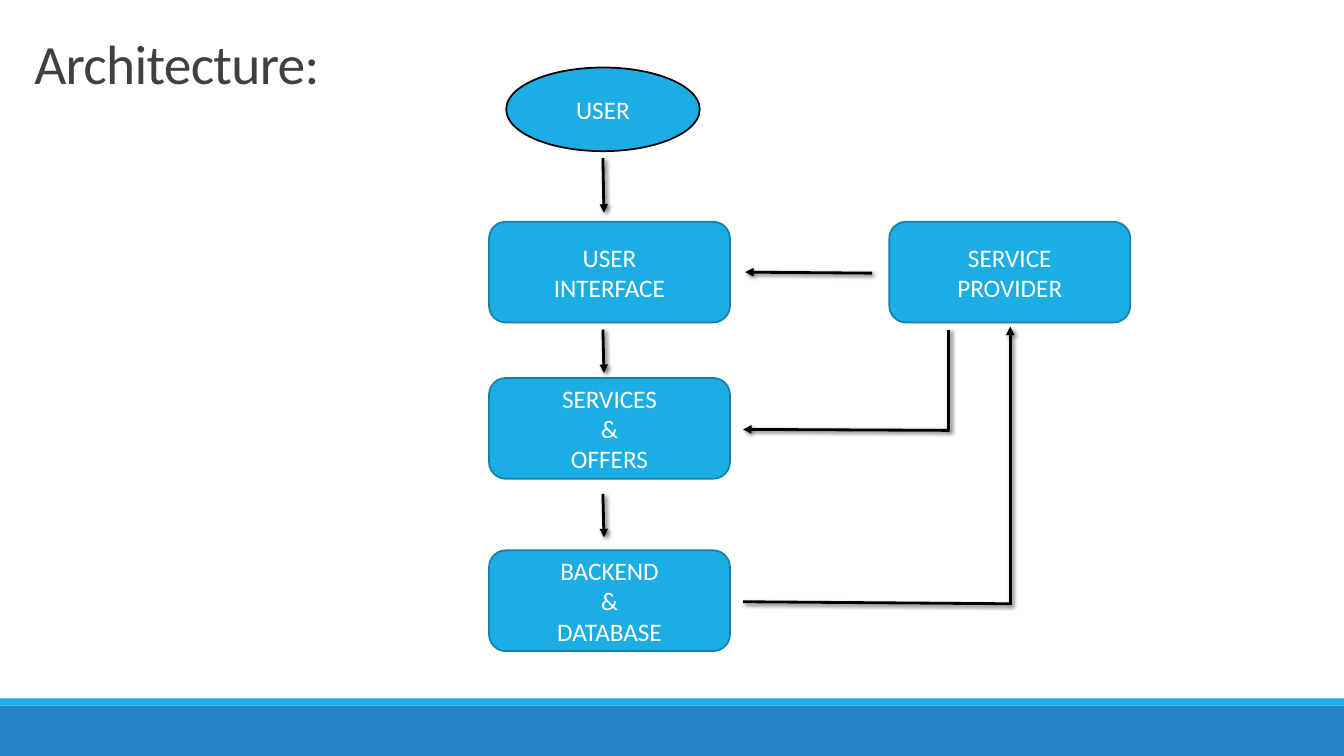
from pptx import Presentation
from pptx.dml.color import RGBColor
from pptx.enum.shapes import MSO_CONNECTOR as Link, MSO_SHAPE as Kind
from pptx.enum.text import MSO_ANCHOR as Anchor, MSO_AUTO_SIZE as Fit, PP_ALIGN as Align
from pptx.oxml import parse_xml
from pptx.oxml.ns import nsdecls
from pptx.util import Inches, Pt

BLUE = RGBColor(0x1C, 0xAD, 0xE4)
NAVY = RGBColor(0x26, 0x83, 0xC6)
EDGE = RGBColor(0x15, 0x80, 0xA9)
BLACK = RGBColor(0, 0, 0)
WHITE = RGBColor(0xFF, 0xFF, 0xFF)
GRAY = RGBColor(0x40, 0x40, 0x40)
FONT = "Calibri"
SHADOW = (
    f'<a:effectLst {nsdecls("a")}><a:outerShdw blurRad="{Pt(3)}" dist="{Pt(2)}" '
    'dir="2700000" algn="tl" rotWithShape="0"><a:srgbClr val="000000">'
    '<a:alpha val="60000"/></a:srgbClr></a:outerShdw></a:effectLst>'
)


def style(par, size, color):
    """Set the font of every run in a paragraph."""
    for run in par.runs:
        run.font.name = FONT
        run.font.size = Pt(size)
        run.font.color.rgb = color


def add_shape(slide, kind, box, fill, edge=None):
    """Add a filled shape, outlined if an edge colour is given."""
    shape = slide.shapes.add_shape(kind, *map(Inches, box))
    shape.shadow.inherit = False
    shape.fill.solid()
    shape.fill.fore_color.rgb = fill
    if edge is None:
        shape.line.fill.background()
    else:
        shape.line.color.rgb = edge
        shape.line.width = Pt(1.25)
    return shape


def add_node(slide, text, box, kind=Kind.ROUNDED_RECTANGLE, edge=EDGE):
    """Add a diagram node with centred white text."""
    frame = add_shape(slide, kind, box, BLUE, edge).text_frame
    frame.word_wrap = True
    frame.vertical_anchor = Anchor.MIDDLE
    frame.text = text
    for par in frame.paragraphs:
        par.alignment = Align.CENTER
        style(par, 18, WHITE)


def add_line(slide, start, end, head=True):
    """Add a shadowed black line, with an arrowhead at its end if asked."""
    line = slide.shapes.add_connector(Link.STRAIGHT, *map(Inches, start + end))
    line.line.color.rgb = BLACK
    line.line.width = Pt(2)
    if head:
        stroke = line.line._get_or_add_ln()
        stroke.append(parse_xml(f'<a:tailEnd {nsdecls("a")} type="triangle"/>'))
    line._element.spPr.append(parse_xml(SHADOW))


def add_footer(slide, left, top, width, height):
    """Add the two-tone band at the foot of the slide."""
    strip = 0.07
    add_shape(slide, Kind.RECTANGLE, (left, top + strip, width, height - strip), NAVY)
    add_shape(slide, Kind.RECTANGLE, (left, top, width, strip), BLUE)


def add_title(slide, box):
    """Place and format the title."""
    title = slide.shapes.title
    title.left, title.top, title.width, title.height = map(Inches, box)
    frame = title.text_frame
    frame.text = "Architecture:"
    frame.auto_size = Fit.NONE
    frame.word_wrap = True
    frame.vertical_anchor = Anchor.TOP
    par = frame.paragraphs[0]
    par.alignment = Align.LEFT
    par.line_spacing = 0.75
    style(par, 39.6, GRAY)
    par.runs[0].font._element.set("spc", "-50")


def add_diagram(slide, left, top):
    """Draw the nodes and arrows from the given top left corner."""
    wide, high = 2.39, 1
    add_node(slide, "USER", (left + 0.17, top, 1.92, 0.83), Kind.OVAL, BLACK)
    nodes = [
        ("USER\nINTERFACE", 0, 1.53),
        ("SERVICES\n&\nOFFERS", 0, 3.08),
        ("BACKEND\n&\nDATABASE", 0, 4.79),
        ("SERVICE\nPROVIDER", 3.97, 1.53),
    ]
    for text, x, y in nodes:
        add_node(slide, text, (left + x, top + y, wide, high))
    for y, drop in ((0.9, 0.54), (2.6, 0.43), (4.23, 0.43)):
        add_line(slide, (left + 1.13, top + y), (left + 1.14, top + y + drop))
    lines = [
        (3.8, 2.04, 2.54, 2.03, True),
        (2.52, 5.3, 5.16, 5.32, False),
        (5.17, 5.33, 5.17, 2.57, True),
        (4.56, 2.6, 4.56, 3.59, False),
        (4.57, 3.6, 2.52, 3.59, True),
    ]
    for x1, y1, x2, y2, head in lines:
        add_line(slide, (left + x1, top + y1), (left + x2, top + y2), head)


def main():
    """Build and save the slide."""
    deck = Presentation()
    deck.slide_width, deck.slide_height = Inches(13.33), Inches(7.5)
    slide = deck.slides.add_slide(deck.slide_layouts[5])
    add_footer(slide, 0, 6.93, 13.33, 0.57)
    add_diagram(slide, 4.85, 0.67)
    add_title(slide, (0.24, 0.39, 3.13, 0.78))
    deck.save("out.pptx")


if __name__ == "__main__":
    main()
